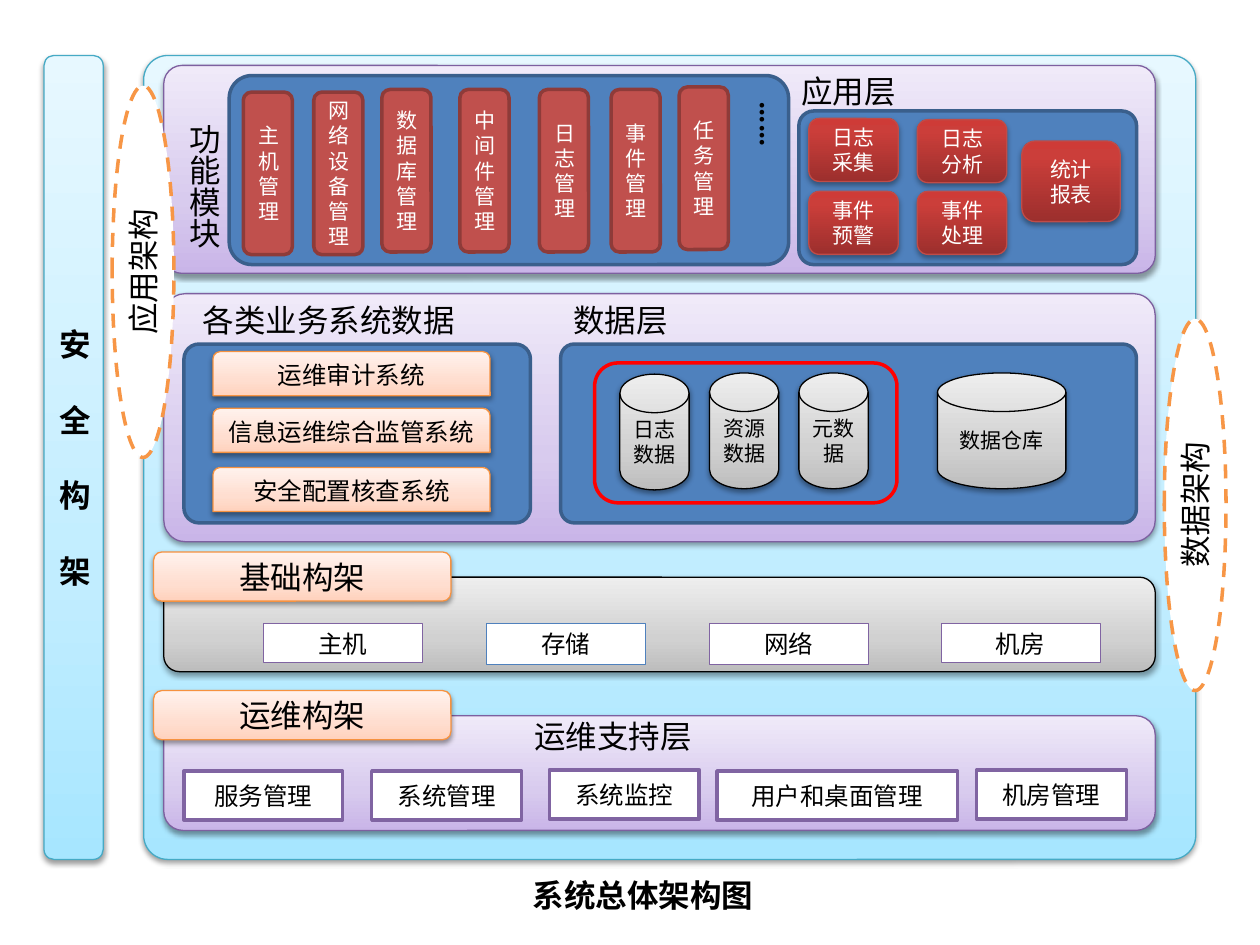
from copy import deepcopy

from pptx import Presentation
from pptx.dml.color import RGBColor
from pptx.enum.dml import MSO_LINE
from pptx.enum.shapes import MSO_SHAPE as Geo
from pptx.enum.text import MSO_AUTO_SIZE as Fit, PP_ALIGN as Align
from pptx.oxml.ns import qn
from pptx.oxml.xmlchemy import OxmlElement
from pptx.util import Pt

COLORS = {
    "black": "000000", "white": "FFFFFF", "red": "FF0000",
    "sky_deep": "A7E6FF", "sky_mid": "C1EDFF", "sky_pale": "E7F8FF", "sky_edge": "46AAC5",
    "lilac_deep": "C9B5E8", "lilac_mid": "D8CBEE", "lilac_pale": "F0EAF9", "lilac_edge": "7D60A0",
    "peach_deep": "FFD2BD", "peach_mid": "FFDED0", "peach_pale": "FFF2ED", "peach_edge": "F69240",
    "gray_deep": "BDBDBD", "gray_mid": "D1D1D1", "gray_pale": "EEEEEE",
    "ruby_deep": "9C2F2D", "ruby_mid": "CB3E3A", "ruby_pale": "CE3B37", "ruby_edge": "BF4C48",
    "blue": "4F81BD", "blue_edge": "3A5F8C", "brick": "C0504D", "brick_edge": "8E3B39",
    "purple": "8064A2", "orange": "F79646",
}
GLOSSY = {"sky": "sky_edge", "lilac": "lilac_edge", "peach": "peach_edge",
          "gray": "black", "ruby": "ruby_edge"}
LATIN, CJK = "Calibri", "Noto Sans CJK SC"


class Diagram:
    """Draws the styled elements of an architecture diagram on one slide."""

    def __init__(self, slide):
        self.shapes = slide.shapes

    def color(self, name):
        return RGBColor.from_string(COLORS[name])

    def label(self, shape, text, size, color="black", bold=False, font=LATIN,
              align=Align.CENTER, gap=0, vert=None):
        frame = shape.text_frame
        frame.word_wrap = True
        frame.text = text
        if vert:
            frame._txBody.bodyPr.set("vert", vert)
        for index, paragraph in enumerate(frame.paragraphs):
            paragraph.alignment = align
            if gap and index:
                paragraph.space_before = Pt(gap)
            paragraph.font.size = Pt(size)
            paragraph.font.name = font
            paragraph.font.bold = bold
            paragraph.font.color.rgb = self.color(color)

    def outline(self, geo, box, edge, width, adj=None):
        shape = self.shapes.add_shape(geo, *map(Pt, box))
        shape.shadow.inherit = False
        shape.line.color.rgb = self.color(edge)
        shape.line.width = Pt(width)
        if adj:
            shape.adjustments[0] = adj
        shape.fill.background()
        return shape

    def flat(self, geo, box, fill, edge, width, adj=None):
        shape = self.outline(geo, box, edge, width, adj)
        shape.fill.solid()
        shape.fill.fore_color.rgb = self.color(fill)
        return shape

    def glossy(self, geo, box, tone, adj=None):
        shape = self.outline(geo, box, GLOSSY[tone], 0.75, adj)
        ruby = tone == "ruby"
        shape.fill.gradient()
        shape.fill.gradient_angle = 90
        stops = shape._element.spPr.find(qn("a:gradFill")).find(qn("a:gsLst"))
        stops.append(deepcopy(stops[0]))
        shades = zip(("deep", "mid", "pale"), (0, 0.8 if ruby else 0.35, 1))
        for stop, (shade, position) in zip(shape.fill.gradient_stops, shades):
            stop.color.rgb = self.color(f"{tone}_{shade}")
            stop.position = position
        self.drop_shadow(shape, 35 if ruby else 38, 1.8 if ruby else 1.6)
        return shape

    def drop_shadow(self, shape, opacity, distance):
        shadow = OxmlElement("a:outerShdw")
        for key, value in (("blurRad", Pt(3.1)), ("dist", Pt(distance)),
                           ("dir", 5400000), ("rotWithShape", 0)):
            shadow.set(key, str(int(value)))
        tint = OxmlElement("a:srgbClr")
        tint.set("val", COLORS["black"])
        alpha = OxmlElement("a:alpha")
        alpha.set("val", str(opacity * 1000))
        tint.append(alpha)
        shadow.append(tint)
        shape._element.spPr.find(qn("a:effectLst")).append(shadow)

    def title(self, text, box, align=Align.LEFT, **style):
        heading = self.shapes.add_textbox(*map(Pt, box))
        self.label(heading, text, 18, align=align, **style)
        heading.text_frame.auto_size = Fit.SHAPE_TO_FIT_TEXT

    def oval(self, text, left, top):
        ring = self.flat(Geo.OVAL, (left, top, 35.3, 212.4), "white", "orange", 2)
        ring.line.dash_style = MSO_LINE.DASH
        self.label(ring, text, 18, font=CJK, vert="vert270")


deck = Presentation()
deck.slide_width, deck.slide_height = Pt(720), Pt(540)
art = Diagram(deck.slides.add_slide(deck.slide_layouts[6]))
ROUND = Geo.ROUNDED_RECTANGLE

security = art.glossy(ROUND, (25.2, 31.7, 33.8, 459.4), "sky")
art.label(security, "安\n全\n构\n架", 18, bold=True, gap=21.7)
art.glossy(ROUND, (82.1, 31.7, 601.2, 459.4), "sky", 0.03)

for tone, top, height, adj in (("lilac", 409, 65.5, None), ("gray", 329.8, 54, None),
                               ("lilac", 167.8, 141.8, 0.088), ("lilac", 37.4, 118.8, 0.088)):
    art.glossy(ROUND, (93.6, top, 566.6, height), tone, adj)

for name, top in (("运维构架", 394.6), ("基础构架", 315.4)):
    art.label(art.glossy(ROUND, (87.8, top, 169.9, 28.1), "peach"), name, 18)

for name, left, top, width in (("服务管理", 105.1, 440.6, 90.7), ("系统管理", 212.4, 440.6, 85.7),
                               ("系统监控", 313.9, 439.9, 85.7),
                               ("用户和桌面管理", 409.7, 440.6, 137.5),
                               ("机房管理", 558, 439.9, 85.7)):
    service = art.flat(Geo.RECTANGLE, (left, top, width, 28.1), "white", "purple", 2)
    art.label(service, name, 14)

for name, left, height, edge in (("主机", 150.5, 22.3, "purple"), ("存储", 277.9, 23, "blue"),
                                 ("网络", 405.4, 23, "purple"), ("机房", 537.8, 22.3, "purple")):
    resource = art.flat(Geo.RECTANGLE, (left, 356.4, 90.7, height), "white", edge, 0.25)
    art.label(resource, name, 14)

for well, adj in (((105.1, 196.6, 198, 102.2), 0.084), ((320.4, 196.6, 329, 102.2), 0.076),
                  ((131, 43.2, 319.7, 108), 0.12), ((456.5, 63.4, 193, 87.8), 0.096)):
    art.flat(ROUND, well, "blue", "blue_edge", 2, adj)

for name, top in (("运维审计系统", 200.9), ("信息运维综合监管系统", 233.3), ("安全配置核查系统", 267.1)):
    system = art.glossy(Geo.ROUND_2_SAME_RECTANGLE, (121.7, top, 158.4, 25.2), "peach")
    art.label(system, name, 14)

for name, left, top, width in (("日志数据", 354.2, 213.8, 39.6), ("资源数据", 405.4, 213.1, 39.6),
                               ("元数据", 456.5, 213.1, 39.6), ("数据仓库", 535.7, 213.1, 73.4)):
    store = art.glossy(Geo.FLOWCHART_MAGNETIC_DISK, (left, top, width, 66.2), "gray")
    art.label(store, name, 12)
art.outline(ROUND, (339.8, 207.4, 172.8, 79.9), "red", 2)

for name, left, top in (("主机管理", 139, 52.6), ("网络设备管理", 179.3, 52.6),
                        ("数据库管理", 218.2, 51.1), ("中间件管理", 262.8, 51.1),
                        ("日志管理", 308.2, 51.1), ("事件管理", 349.2, 51.1),
                        ("任务管理", 388.1, 49.7)):
    module = art.flat(ROUND, (left, top, 28.1, 92.9), "brick", "brick_edge", 2)
    art.label(module, name, 12, "white")

for name, box in (("日志\n采集", (462.2, 67.7, 51.1, 36)), ("事件\n预警", (462.2, 109.4, 51.1, 36)),
                  ("日志\n分析", (524.2, 68.4, 51.1, 36)), ("事件\n处理", (524.2, 109.4, 51.1, 36)),
                  ("统计\n报表", (583.9, 80.6, 56.2, 46.1))):
    art.label(art.glossy(ROUND, box, "ruby"), name, 12, "white")

for name, left, top, width in (("运维支持层", 298.1, 406.1, 118.1), ("数据层", 320.4, 168.5, 90.7),
                               ("各类业务系统数据", 108.7, 168.5, 168.5),
                               ("应用层", 450.7, 37.4, 90.7)):
    art.title(name, (left, top, width, 28.8))
art.title("……", (419.8, 51.1, 36, 91.4), Align.CENTER, bold=True, vert="eaVert")
art.title("功能模块", (95, 63.4, 36, 87.8), vert="eaVert")
art.title("系统总体架构图", (297.4, 496.8, 190.1, 28.8), bold=True, font=CJK)

art.oval("应用架构", 64.1, 49)
art.oval("数据架构", 665.3, 182.2)

deck.save("out.pptx")
